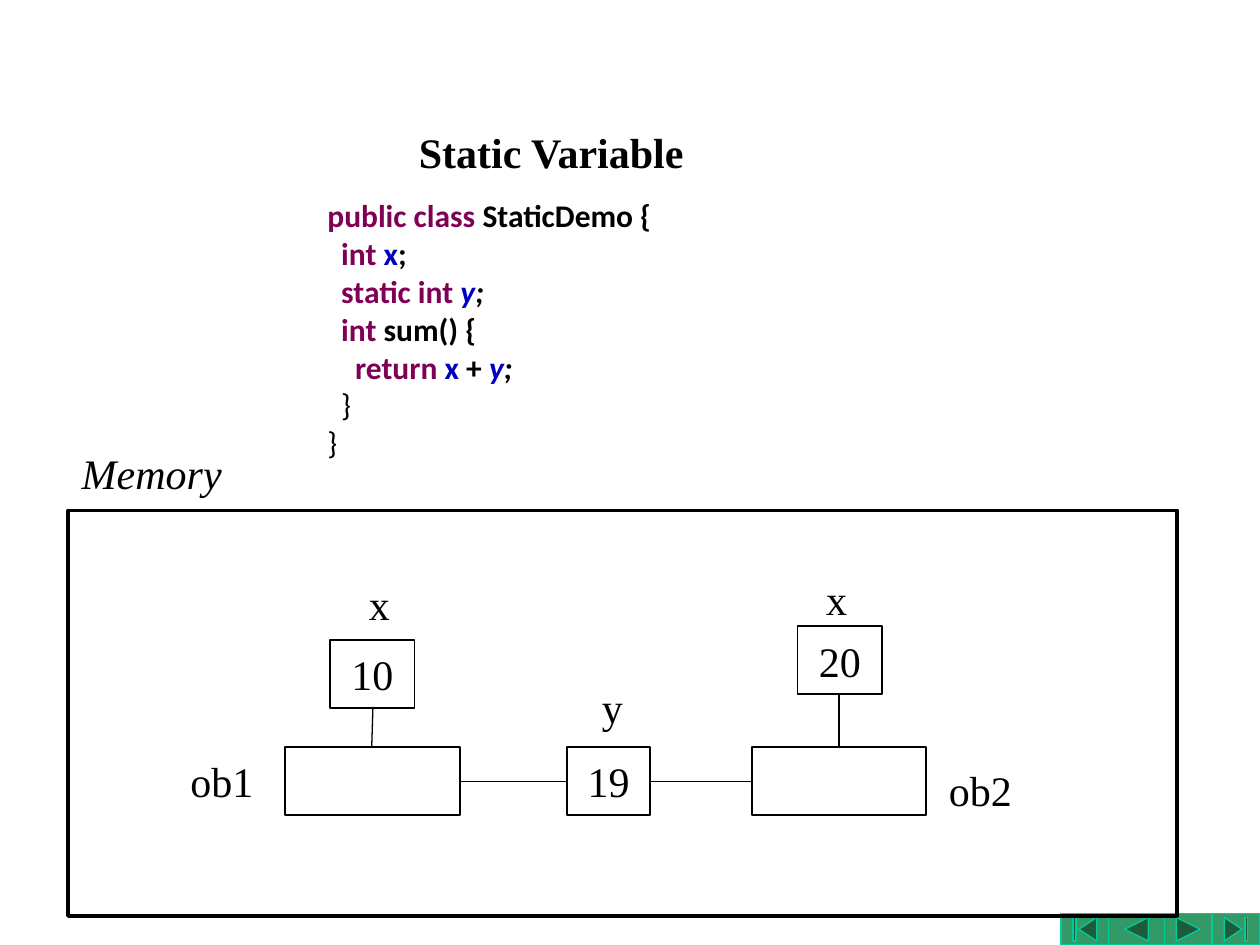
from dataclasses import dataclass

from lxml import etree
from pptx import Presentation
from pptx.dml.color import RGBColor
from pptx.enum.shapes import MSO_CONNECTOR, MSO_SHAPE
from pptx.enum.text import MSO_ANCHOR, PP_ALIGN
from pptx.oxml.ns import qn
from pptx.util import Inches, Pt

RECTANGLE = MSO_SHAPE.RECTANGLE
BUTTON_BEGINNING = MSO_SHAPE.ACTION_BUTTON_BEGINNING
BUTTON_BACK = MSO_SHAPE.ACTION_BUTTON_BACK_OR_PREVIOUS
BUTTON_FORWARD = MSO_SHAPE.ACTION_BUTTON_FORWARD_OR_NEXT
BUTTON_END = MSO_SHAPE.ACTION_BUTTON_END
STRAIGHT = MSO_CONNECTOR.STRAIGHT
LEFT, CENTER = PP_ALIGN.LEFT, PP_ALIGN.CENTER
TOP, MIDDLE = MSO_ANCHOR.TOP, MSO_ANCHOR.MIDDLE


@dataclass(frozen=True)
class Theme:
    """Colours, fonts and sizes of the slide."""
    ink: RGBColor = RGBColor(0x00, 0x00, 0x00)
    paper: RGBColor = RGBColor(0xFF, 0xFF, 0xFF)
    keyword: RGBColor = RGBColor(0x7F, 0x00, 0x55)
    field: RGBColor = RGBColor(0x00, 0x00, 0xC0)
    button: RGBColor = RGBColor(0x33, 0x99, 0x66)
    button_line: RGBColor = RGBColor(0x00, 0xCC, 0x99)
    serif: str = "Times New Roman"
    code_font: str = "Calibri"
    body_size: int = 24
    code_size: int = 18
    code_indent: float = 0.11


THEME = Theme()
KEYWORD, FIELD, STATIC, PLAIN, STATIC_END = range(5)
# Style: colour, italic
CODE_STYLES = {
    KEYWORD: (THEME.keyword, False),
    FIELD: (THEME.field, False),
    STATIC: (THEME.field, True),
    PLAIN: (THEME.ink, False),
    STATIC_END: (THEME.ink, True),
}
# Line: indent level, bold, pieces of text with their style
CODE = [
    (0, True, [("public class ", KEYWORD), ("StaticDemo {", PLAIN)]),
    (1, True, [("int ", KEYWORD), ("x", FIELD), (";", PLAIN)]),
    (1, True, [("static int ", KEYWORD), ("y", STATIC), (";", STATIC_END)]),
    (1, True, [("int", KEYWORD), (" sum() {", PLAIN)]),
    (2, True, [("return ", KEYWORD), ("x", FIELD), (" + ", PLAIN),
               ("y", STATIC), (";", STATIC_END)]),
    (1, False, [("}", PLAIN)]),
    (0, False, [("}", PLAIN)]),
]


def write(shape, text, align=CENTER, bold=False, italic=False):
    """Put one serif paragraph into a shape."""
    paragraph = shape.text_frame.paragraphs[0]
    paragraph.text = text
    paragraph.alignment = align
    font = paragraph.font
    font.name, font.size = THEME.serif, Pt(THEME.body_size)
    font.bold, font.italic = bold, italic
    font.color.rgb = THEME.ink


def add_text_box(slide, left, top, width, height, anchor=TOP):
    """Add an empty wrapping text box."""
    box = slide.shapes.add_textbox(*map(Inches, (left, top, width, height)))
    box.text_frame.word_wrap = True
    box.text_frame.vertical_anchor = anchor
    return box


def add_label(slide, text, left, top, width=0.78, align=CENTER, italic=False):
    """Add a one-line label."""
    write(add_text_box(slide, left, top, width, 0.5), text, align, italic=italic)


def add_box(slide, kind, left, top, width, height, fill, line, line_width):
    """Add a preset shape; a fill of None leaves it open."""
    shape = slide.shapes.add_shape(
        kind, *map(Inches, (left, top, width, height)))
    shape.shadow.inherit = False
    if fill is None:
        shape.fill.background()
    else:
        shape.fill.solid()
        shape.fill.fore_color.rgb = fill
    shape.line.color.rgb = line
    shape.line.width = Pt(line_width)
    return shape


def add_cell(slide, left, top, width, value=None):
    """Add a memory cell, with its value if it has one."""
    cell = add_box(slide, RECTANGLE, left, top, width, 0.54,
                   THEME.paper, THEME.ink, 1)
    if value is not None:
        cell.text_frame.vertical_anchor = MIDDLE
        write(cell, value)


def add_link(slide, start, end):
    """Add a thin straight line between two points."""
    link = slide.shapes.add_connector(STRAIGHT, *map(Inches, start + end))
    link.line.color.rgb = THEME.ink
    link.line.width = Pt(0.75)
    etree.SubElement(link._element.spPr, qn("a:effectLst"))


def add_code(slide, left, top, width, height):
    """Add the coloured code listing."""
    frame = add_text_box(slide, left, top, width, height).text_frame
    for number, (level, bold, pieces) in enumerate(CODE):
        paragraph = frame.add_paragraph() if number else frame.paragraphs[0]
        paragraph.font.name = THEME.code_font
        paragraph.font.size = Pt(THEME.code_size)
        paragraph.font.bold = bold
        properties = paragraph._p.get_or_add_pPr()
        properties.set("marL", str(Inches(level * THEME.code_indent)))
        properties.set("indent", "0")
        for text, style in pieces:
            run = paragraph.add_run()
            run.text = text
            run.font.color.rgb, run.font.italic = CODE_STYLES[style]


def add_navigation(slide):
    """Add the row of action buttons in the lower right corner."""
    left = 8.42
    for kind, width in ((BUTTON_BEGINNING, 0.38), (BUTTON_BACK, 0.44),
                        (BUTTON_FORWARD, 0.38), (BUTTON_END, 0.38)):
        add_box(slide, kind, left, 7.25, width, 0.25,
                THEME.button, THEME.button_line, 0.75)
        left += width


def add_memory(slide):
    """Add the cells, links and names inside the memory frame."""
    object_top, middle = 5.93, 6.2
    add_cell(slide, 5.97, object_top, 1.38)
    add_cell(slide, 4.5, object_top, 0.66, "19")
    add_cell(slide, 2.26, object_top, 1.39)
    add_cell(slide, 6.33, 4.97, 0.67, "20")
    add_cell(slide, 2.62, 5.08, 0.67, "10")
    for start, end in (((2.95, object_top), (2.96, 5.61)),
                       ((6.66, object_top), (6.66, 5.5)),
                       ((3.65, middle), (4.5, middle)),
                       ((5.97, middle), (5.15, middle))):
        add_link(slide, start, end)
    for text, left, top in (("ob2", 7.39, 6.02), ("ob1", 1.37, 5.95),
                            ("x", 2.62, 4.54), ("y", 4.47, 5.36),
                            ("x", 6.25, 4.5)):
        add_label(slide, text, left, top)


def main():
    """Build the slide and save it."""
    presentation = Presentation()
    presentation.slide_width = Inches(10)
    presentation.slide_height = Inches(7.5)
    slide = presentation.slides.add_slide(presentation.slide_layouts[6])
    add_navigation(slide)
    title = add_text_box(slide, 0.75, 0.83, 7.25, 0.75, MIDDLE)
    write(title, "Static Variable", bold=True)
    add_box(slide, RECTANGLE, 0.54, 4.05, 8.8, 3.22, None, THEME.ink, 2)
    add_label(slide, "Memory", 0.55, 3.5, 1.71, LEFT, italic=True)
    add_code(slide, 2.5, 1.51, 3.99, 2.22)
    add_memory(slide)
    presentation.save("out.pptx")


main()
